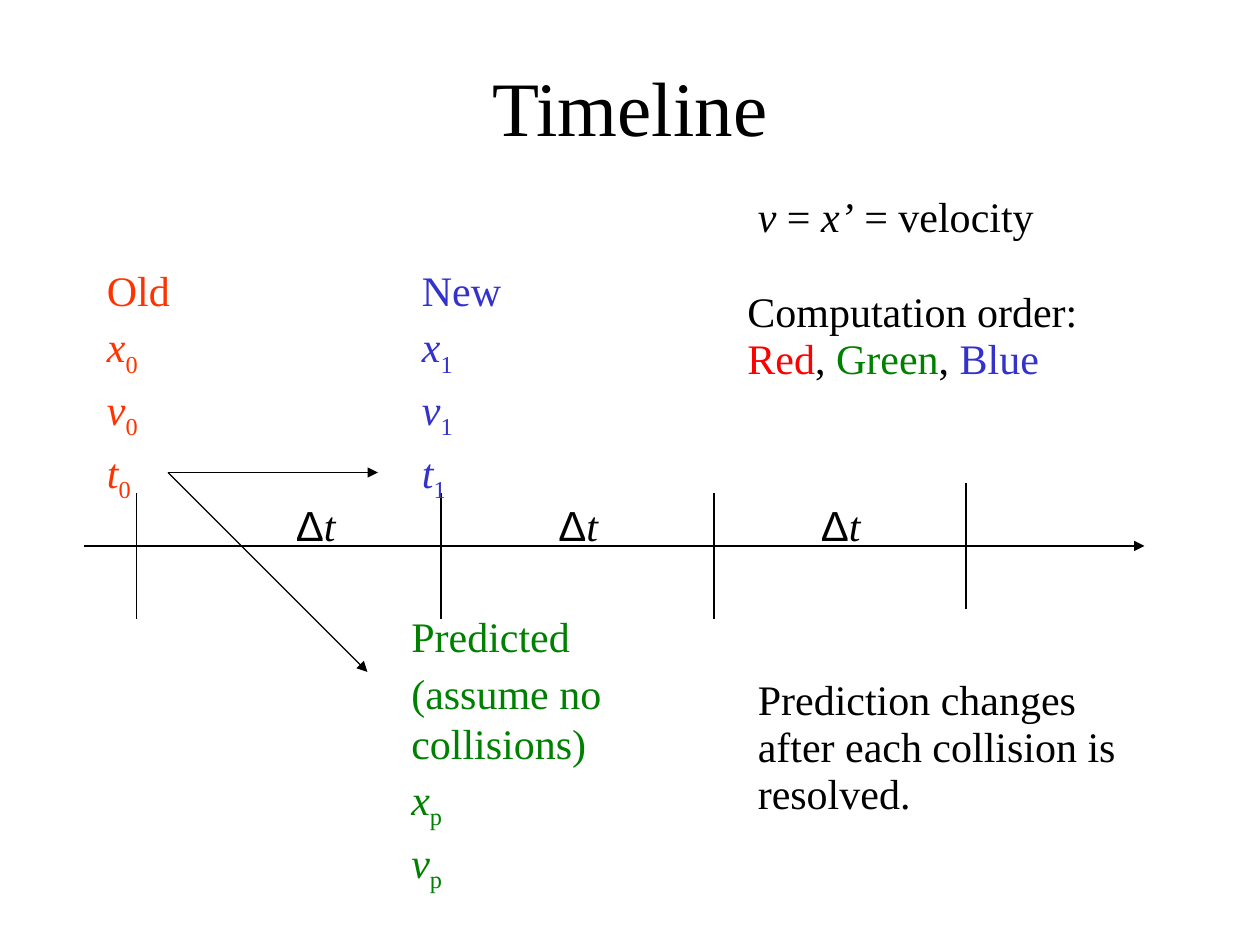
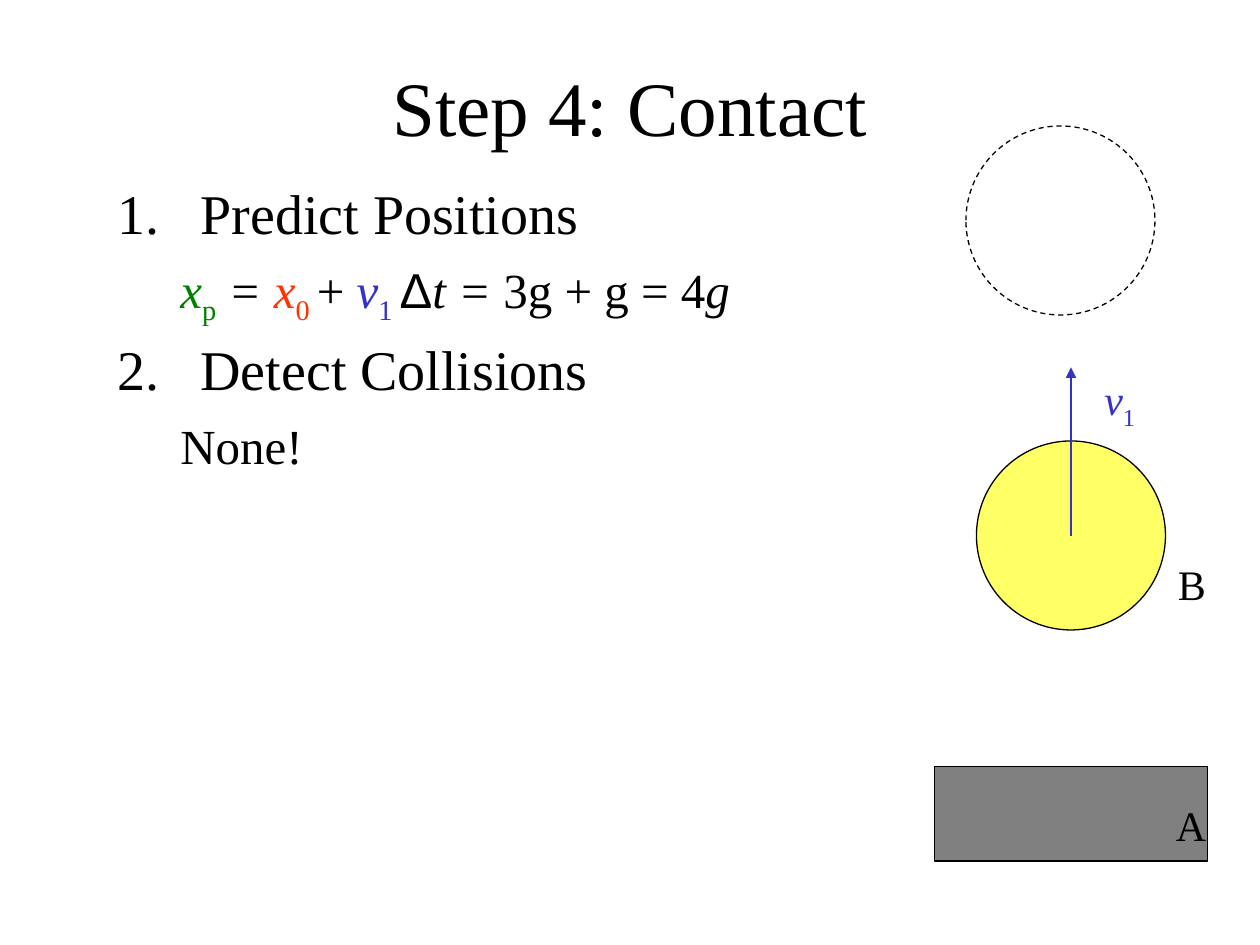
from lxml.etree import SubElement
from pptx import Presentation
from pptx.dml.color import RGBColor
from pptx.enum.dml import MSO_LINE
from pptx.enum.shapes import MSO_CONNECTOR, MSO_SHAPE
from pptx.enum.text import MSO_ANCHOR, MSO_AUTO_SIZE, PP_ALIGN
from pptx.oxml.ns import qn
from pptx.util import Inches, Pt

COLUMNS, ROWS = 120, 90
UNIT = Inches(10) / COLUMNS

BLACK = RGBColor(0x00, 0x00, 0x00)
RED = RGBColor(0xFF, 0x00, 0x00)
ORANGE = RGBColor(0xFF, 0x33, 0x00)
GREEN = RGBColor(0x00, 0x80, 0x00)
BLUE = RGBColor(0x33, 0x33, 0xCC)
GRAY = RGBColor(0x80, 0x80, 0x80)
YELLOW = RGBColor(0xFF, 0xFF, 0x66)

SERIF, SANS = "Times New Roman", "Arial"
TIGHT = 0.93


def plain(text, color=None):
    return [(text, "plain", color)]


def italic(text, color=None):
    return [(text, "italic", color)]


def symbol(letter, index, color=None):
    return [(letter, "italic", color), (index, "subscript", color)]


DELTA = [("Δ", "sans", None)]

STATES = [
    ((9, 25, 21, 23.6), ORANGE,
     [plain("Old"), symbol("x", "0"), symbol("v", "0"), symbol("t", "0")]),
    ((39, 25, 21, 23.6), BLUE,
     [plain("New"), symbol("x", "1"), symbol("v", "1"), symbol("t", "1")]),
    ((38, 58, 35, 27.7), GREEN,
     [plain("Predicted"), plain("(assume no collisions)"),
      symbol("x", "p"), symbol("v", "p")]),
]
REMARKS = [
    ((71, 64, 41, 14.6), plain("Prediction changes after each collision is resolved.")),
    ((71, 18, 35, 5.6),
     italic("v") + plain(" = ") + italic("x’") + plain(" = velocity")),
    ((70, 27, 40, 10.2),
     plain("Computation order: ") + plain("Red", RED) + plain(", ")
     + plain("Green", GREEN) + plain(", ") + plain("Blue", BLUE)),
]
AXIS = ((8, 52), (109, 52))
TICKS = [(13, 47), (42, 47), (68, 47), (92, 46)]
TICK_LENGTH = 12
INTERVAL_COLUMNS = range(27, 78, 25)
OLD_TIME = (16, 45)
STEP_TARGETS = [(35, 64), (36, 45)]

STEPS = [
    ("numbered", plain("Predict Positions")),
    ("detail", symbol("x", "p", GREEN) + italic(" = ") + symbol("x", "0 ", ORANGE)
     + plain("+ ") + symbol("v", "1 ", BLUE) + DELTA + italic("t = ")
     + plain("3g + g = 4") + italic("g")),
    ("numbered", plain("Detect Collisions")),
    ("detail", plain("None!")),
]
STEP_STYLES = {
    "numbered": dict(size=32, before=8, spacing=TIGHT, margin=0.66, indent=-0.66),
    "detail": dict(size=28, before=7, margin=1.08, indent=-0.58),
}
BODIES = [
    (MSO_SHAPE.RECTANGLE, (89, 73, 26, 9), GRAY, MSO_LINE.SOLID),
    (MSO_SHAPE.OVAL, (93, 42, 18, 18), YELLOW, MSO_LINE.SOLID),
    (MSO_SHAPE.OVAL, (92, 12, 18, 18), None, MSO_LINE.DASH),
]
BODY_LABELS = [
    ((110.8, 76, 5.3, 5.7), plain("A"), BLACK, TIGHT),
    ((111, 53, 5, 5.7), plain("B"), BLACK, TIGHT),
    ((104, 35, 5.3, 6.4), symbol("v", "1"), BLUE, TIGHT),
]
VELOCITY = ((102, 51), (102, 35))


def grid(*cells):
    return [round(cell * UNIT) for cell in cells]


def add_runs(paragraph, runs, color):
    for text, style, run_color in runs:
        run = paragraph.add_run()
        run.text = text
        if style == "italic":
            run.font.italic = True
        elif style == "sans":
            run.font.name = SANS
        elif style == "subscript":
            run._r.get_or_add_rPr().set("baseline", "-25000")
        if run_color is not None and run_color != color:
            run.font.color.rgb = run_color


def style_paragraph(paragraph, color, size=24, before=0, spacing=None,
                    margin=None, indent=None):
    paragraph.font.name = SERIF
    paragraph.font.size = Pt(size)
    paragraph.font.color.rgb = color
    paragraph.space_before = Pt(before)
    if spacing:
        paragraph.line_spacing = spacing
    if margin is not None:
        properties = paragraph._p.get_or_add_pPr()
        properties.set("marL", str(Inches(margin)))
        properties.set("indent", str(Inches(indent)))


def add_text(slide, place, lines, color=BLACK, wrap=True, grow=True):
    box = slide.shapes.add_textbox(*grid(*place))
    frame = box.text_frame
    frame.word_wrap = wrap
    frame.auto_size = MSO_AUTO_SIZE.SHAPE_TO_FIT_TEXT if grow else MSO_AUTO_SIZE.NONE
    for number, (runs, style) in enumerate(lines):
        paragraph = frame.add_paragraph() if number else frame.paragraphs[0]
        style_paragraph(paragraph, color, **style)
        add_runs(paragraph, runs, color)
    return frame


def add_line(slide, start, end, color=BLACK, arrow=False):
    connector = slide.shapes.add_connector(MSO_CONNECTOR.STRAIGHT, *grid(*start, *end))
    connector.line.color.rgb = color
    connector.line.width = Pt(0.75)
    if arrow:
        SubElement(connector.line._get_or_add_ln(), qn("a:tailEnd"), type="triangle")
    SubElement(connector._element.spPr, qn("a:effectLst"))


def add_body(slide, kind, place, fill, dash):
    shape = slide.shapes.add_shape(kind, *grid(*place))
    shape.shadow.inherit = False
    if fill is None:
        shape.fill.background()
    else:
        shape.fill.solid()
        shape.fill.fore_color.rgb = fill
    shape.line.color.rgb = BLACK
    shape.line.width = Pt(0.75)
    shape.line.dash_style = dash


def add_titled_slide(presentation, title):
    slide = presentation.slides.add_slide(presentation.slide_layouts[6])
    frame = add_text(slide, (9, 3, 102, 15),
                     [(plain(title), dict(size=44, spacing=TIGHT))], grow=False)
    frame.vertical_anchor = MSO_ANCHOR.MIDDLE
    frame.paragraphs[0].alignment = PP_ALIGN.CENTER
    return slide


def build_timeline(presentation):
    slide = add_titled_slide(presentation, "Timeline")
    add_line(slide, *AXIS, arrow=True)
    for column, row in TICKS:
        add_line(slide, (column, row), (column, row + TICK_LENGTH))
    for target in STEP_TARGETS:
        add_line(slide, OLD_TIME, target, arrow=True)
    for column in INTERVAL_COLUMNS:
        add_text(slide, (column, 47, 17, 6), [(DELTA + italic("t"), dict(before=15))])
    for place, color, lines in STATES:
        add_text(slide, place,
                 [(runs, dict(before=3, spacing=None if number else TIGHT))
                  for number, runs in enumerate(lines)], color)
    for place, runs in REMARKS:
        add_text(slide, place, [(runs, dict(before=15, spacing=TIGHT))])


def build_contact(presentation):
    slide = add_titled_slide(presentation, "Step 4: Contact")
    frame = add_text(slide, (10, 17, 102, 62),
                     [(runs, STEP_STYLES[kind]) for kind, runs in STEPS], grow=False)
    for paragraph, (kind, runs) in zip(frame.paragraphs, STEPS):
        if kind == "detail":
            paragraph.level = 1
        else:
            properties = paragraph._p.get_or_add_pPr()
            numbering = SubElement(properties, qn("a:buAutoNum"), type="arabicPeriod")
            properties.find(qn("a:defRPr")).addprevious(numbering)
    for body in BODIES:
        add_body(slide, *body)
    for place, runs, color, spacing in BODY_LABELS:
        add_text(slide, place, [(runs, dict(spacing=spacing))], color, wrap=False)
    add_line(slide, *VELOCITY, color=BLUE, arrow=True)


def main():
    presentation = Presentation()
    presentation.slide_width, presentation.slide_height = grid(COLUMNS, ROWS)
    build_timeline(presentation)
    build_contact(presentation)
    presentation.save("out.pptx")


if __name__ == "__main__":
    main()
